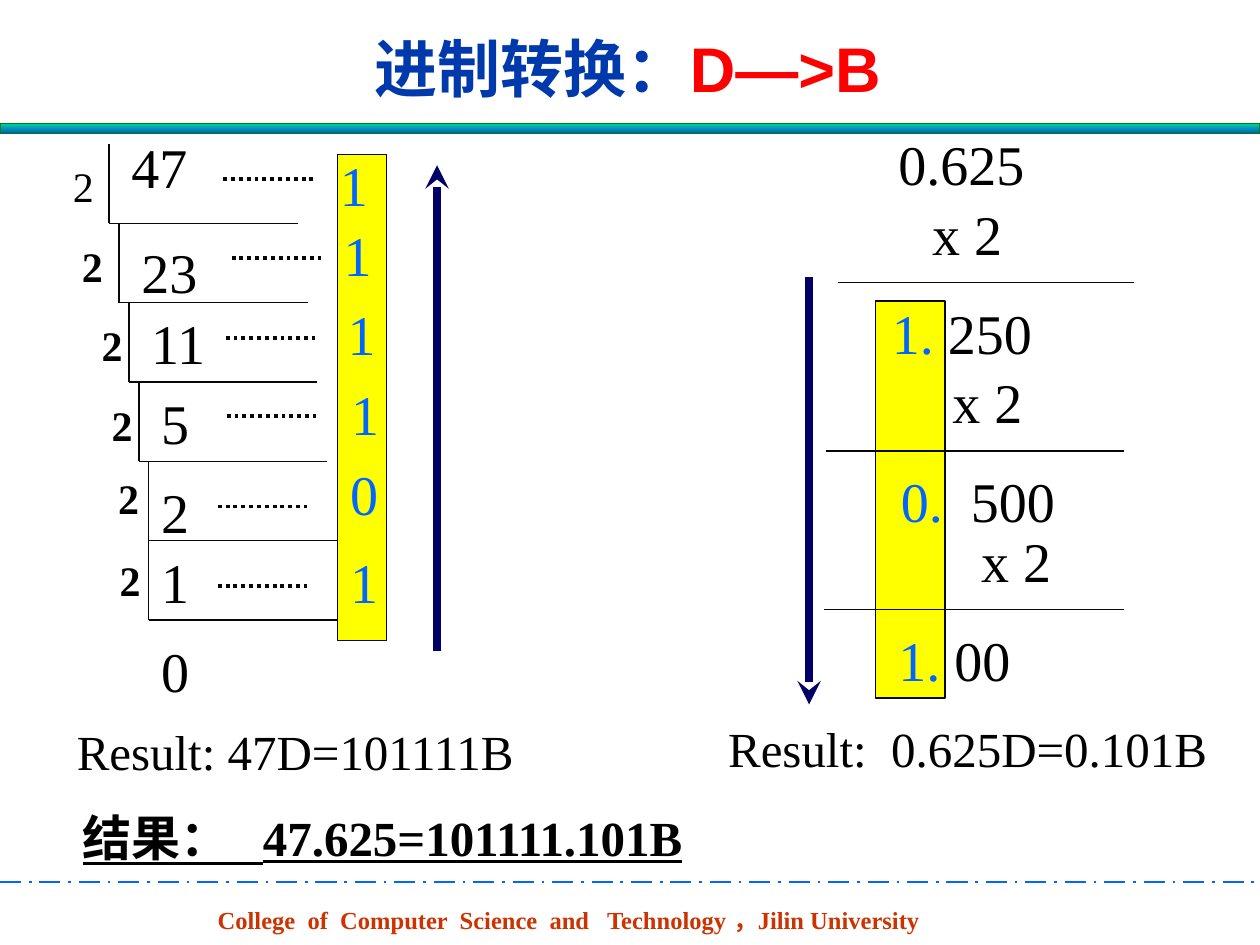
"""Build a slide that converts 47.625 from decimal to binary."""
from dataclasses import dataclass

import pptx
import pptx.dml.color
import pptx.enum.dml
import pptx.enum.shapes
import pptx.enum.text
import pptx.oxml.ns
import pptx.oxml.xmlchemy
import pptx.util
from lxml import etree
from pptx.util import Cm

RGBColor = pptx.dml.color.RGBColor
DASH = pptx.enum.dml.MSO_LINE
BLACK = RGBColor(0x00, 0x00, 0x00)
INK = RGBColor(0x08, 0x08, 0x08)
WHITE = RGBColor(0xFF, 0xFF, 0xFF)
YELLOW = RGBColor(0xFF, 0xFF, 0x00)
RED = RGBColor(0xFF, 0x00, 0x00)
BLUE = RGBColor(0x00, 0x66, 0xFF)
NAVY = RGBColor(0x00, 0x00, 0x66)
TITLE_BLUE = RGBColor(0x00, 0x39, 0xAC)
RUST = RGBColor(0xCC, 0x33, 0x00)
GREEN = RGBColor(0x00, 0x80, 0x00)
TEAL = RGBColor(0x03, 0xD4, 0xA8)
DEEP_BLUE = RGBColor(0x00, 0x5C, 0xBF)
SERIF = "Times New Roman"
CJK = "Noto Sans CJK SC"


@dataclass
class Division:
    quotient: str
    quotient_y: float
    divisor_x: float
    divisor_y: float
    remainder: str
    remainder_x: float
    remainder_y: float
    dots_x: float
    dots_y: float


@dataclass
class Product:
    whole: str
    fraction: str
    factor_x: float
    rule_x: float
    rule_end: float
    rule_y: float
    result_x: float


DIVISIONS = [
    Division("47", 2.54, 1.22, 3.12, "1", 6.6, 2.9, 4.5, 3.61),
    Division("23", 4.67, 1.4, 4.72, "1", 6.68, 4.32, 4.67, 5.21),
    Division("11", 6.1, 1.8, 6.32, "1", 6.76, 5.92, 4.55, 6.81),
    Division("5", 7.7, 2.0, 7.92, "1", 6.83, 7.52, 4.57, 8.38),
    Division("2", 9.5, 2.13, 9.4, "0", 6.81, 9.14, 4.39, 10.21),
    Division("1", 10.92, 2.16, 11.05, "1", 6.81, 10.92, 4.39, 11.81),
]
PRODUCTS = [
    Product("1.", " 250", 18.54, 16.89, 22.86, 5.69, 17.73),
    Product("0.", "  500", 18.95, 16.66, 22.66, 9.09, 17.91),
    Product("1.", " 00", 19.53, 16.61, 22.66, 12.29, 17.86),
]


def style(r, size: float, color: RGBColor, font: str = SERIF, bold: bool = False) -> None:
    r.font.size = pptx.util.Pt(size)
    r.font.name = font
    r.font.bold = bold
    r.font.color.rgb = color
    ea = etree.SubElement(r.font._element, pptx.oxml.ns.qn("a:ea"))
    ea.set("typeface", CJK)


def add_text(s, text: str, x: float, y: float, w: float, h: float = 1.63,
             size: float = 32, color: RGBColor = BLACK, bold: bool = False):
    sp = s.shapes.add_textbox(Cm(x), Cm(y), Cm(w), Cm(h))
    tf = sp.text_frame
    tf.word_wrap = True
    tf.text = text
    style(tf.paragraphs[0].runs[0], size, color, bold=bold)
    return sp


def add_line(s, x1: float, y1: float, x2: float, y2: float, color: RGBColor = INK,
             width: float = 0.75, dash=None, arrow: bool = False) -> None:
    sp = s.shapes.add_connector(pptx.enum.shapes.MSO_CONNECTOR.STRAIGHT,
                                Cm(x1), Cm(y1), Cm(x2), Cm(y2))
    sp.line.color.rgb = color
    sp.line.width = pptx.util.Pt(width)
    if dash is not None:
        sp.line.dash_style = dash
    if arrow:
        tail = etree.SubElement(sp.line._get_or_add_ln(), pptx.oxml.ns.qn("a:tailEnd"))
        tail.set("type", "stealth")
    etree.SubElement(sp._element.spPr, pptx.oxml.ns.qn("a:effectLst"))


def add_bar(s, x: float, y: float, w: float, h: float, outline: RGBColor = INK):
    sp = s.shapes.add_shape(pptx.enum.shapes.MSO_SHAPE.RECTANGLE, Cm(x), Cm(y), Cm(w), Cm(h))
    sp.shadow.inherit = False
    sp.fill.solid()
    sp.fill.fore_color.rgb = YELLOW
    sp.line.color.rgb = outline
    sp.line.width = pptx.util.Pt(0.75)
    return sp


def add_division(s, i: int, d: Division) -> None:
    x, y, height = 2.2 + 0.2 * min(i, 4), 2.9 + 1.6 * i, 1.6
    add_line(s, x, y, x, y + height)
    add_line(s, x, y + height, x + 3.8, y + height)
    add_text(s, d.quotient, 2.4 + 0.2 * min(i, 3), d.quotient_y, 1.65)
    add_text(s, "2", d.divisor_x, d.divisor_y, 1.07, 1.27, 24, bold=i > 0)
    add_line(s, d.dots_x, d.dots_y, d.dots_x + 1.8, d.dots_y, width=2.25, dash=DASH.ROUND_DOT)
    add_text(s, d.remainder, d.remainder_x, d.remainder_y, 1.07, color=BLUE)


def add_product(s, m: Product) -> None:
    add_text(s, "x 2", m.factor_x, m.rule_y - 1.8, 1.95)
    add_line(s, m.rule_x, m.rule_y, m.rule_end, m.rule_y)
    sp = add_text(s, m.whole, m.result_x, m.rule_y + 0.2, 3.75, color=BLUE)
    r = sp.text_frame.paragraphs[0].add_run()
    r.text = m.fraction
    style(r, 32, BLACK)


def add_title(s) -> None:
    sp = s.shapes.title
    sp.left, sp.top, sp.width, sp.height = Cm(0.69), Cm(0.46), Cm(23.93), Cm(1.8)
    tf = sp.text_frame
    tf.vertical_anchor = pptx.enum.text.MSO_ANCHOR.MIDDLE
    p = tf.paragraphs[0]
    p.alignment = pptx.enum.text.PP_ALIGN.CENTER
    for text, color, font in (("进制转换：", TITLE_BLUE, CJK), ("D—>B", RED, "Arial")):
        r = p.add_run()
        r.text = text
        style(r, 36, color, font, True)


def add_frame(s) -> None:
    add_text(s, "College  of  Computer  Science  and   Technology ，Jilin University",
             4.14, 18.11, 15.04, 0.86, 14, RUST, True)
    add_line(s, 0, 17.78, 25.4, 17.78, BLUE, 1.5, DASH.LONG_DASH_DOT)
    band = add_bar(s, 0, 2.49, 25.4, 0.2, GREEN)
    band.fill.gradient()
    band.fill.gradient_angle = 270
    for stop, color in zip(band.fill.gradient_stops, (TEAL, DEEP_BLUE)):
        stop.color.rgb = color


def main() -> None:
    prs = pptx.Presentation()
    prs.slide_width, prs.slide_height = Cm(25.4), Cm(19.05)
    s = prs.slides.add_slide(prs.slide_layouts[5])
    add_title(s)
    add_frame(s)

    add_bar(s, 6.81, 3.12, 0.99, 9.8)
    for i, d in enumerate(DIVISIONS):
        add_division(s, i, d)
    add_text(s, "0", 3.0, 12.7, 1.07)
    add_line(s, 8.81, 13.13, 8.81, 3.33, NAVY, 4.5, arrow=True)
    add_text(s, "Result: 47D=101111B", 1.3, 14.43, 9.63, 1.45, 28)

    add_bar(s, 17.65, 6.07, 1.4, 8.0)
    add_text(s, "0.625", 17.86, 2.49, 3.1)
    for m in PRODUCTS:
        add_product(s, m)
    add_line(s, 16.31, 5.59, 16.31, 14.2, NAVY, 4.5, arrow=True)
    add_text(s, "Result:  0.625D=0.101B", 14.43, 14.35, 10.21, 1.45, 28)

    sp = add_text(s, "结果：   47.625=101111.101B", 1.42, 16.15, 19.51, 1.45, 28, bold=True)
    sp.fill.solid()
    sp.fill.fore_color.rgb = WHITE
    sp.text_frame.paragraphs[0].runs[0].font.underline = True
    prs.save("out.pptx")


if __name__ == "__main__":
    main()
